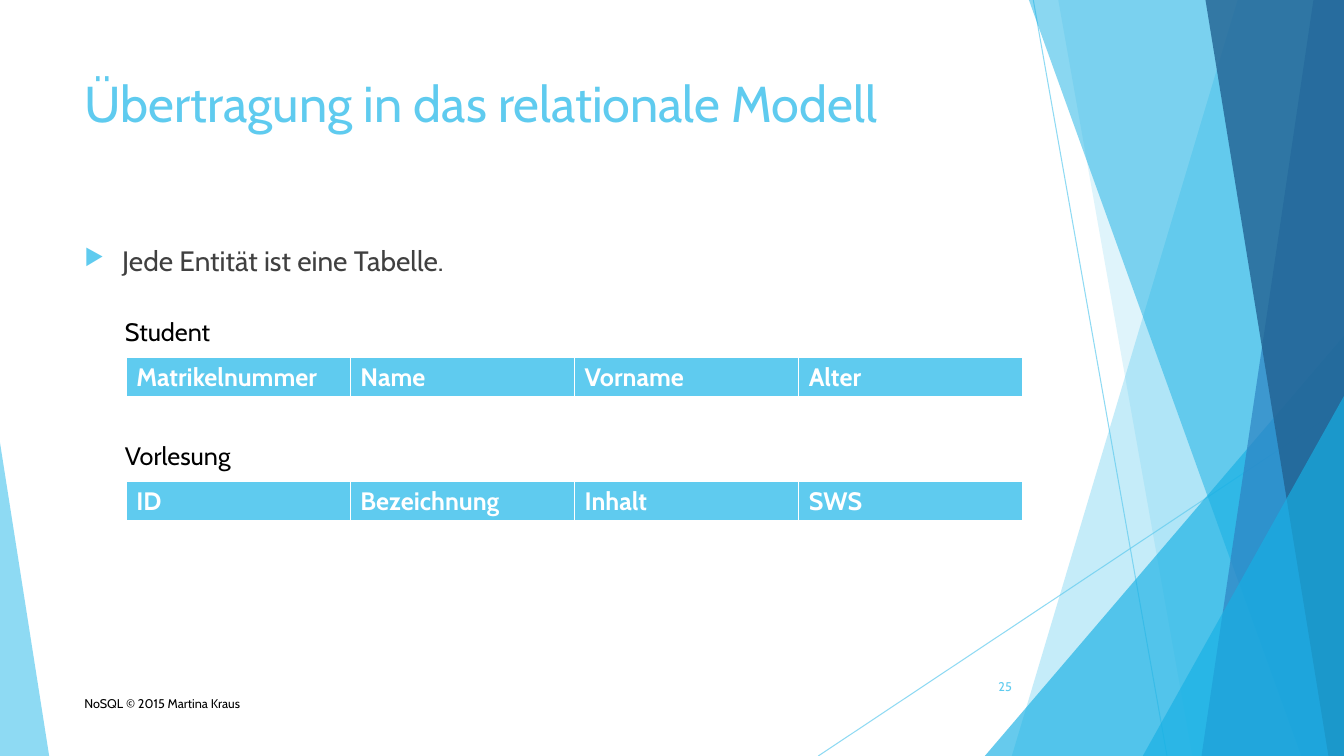
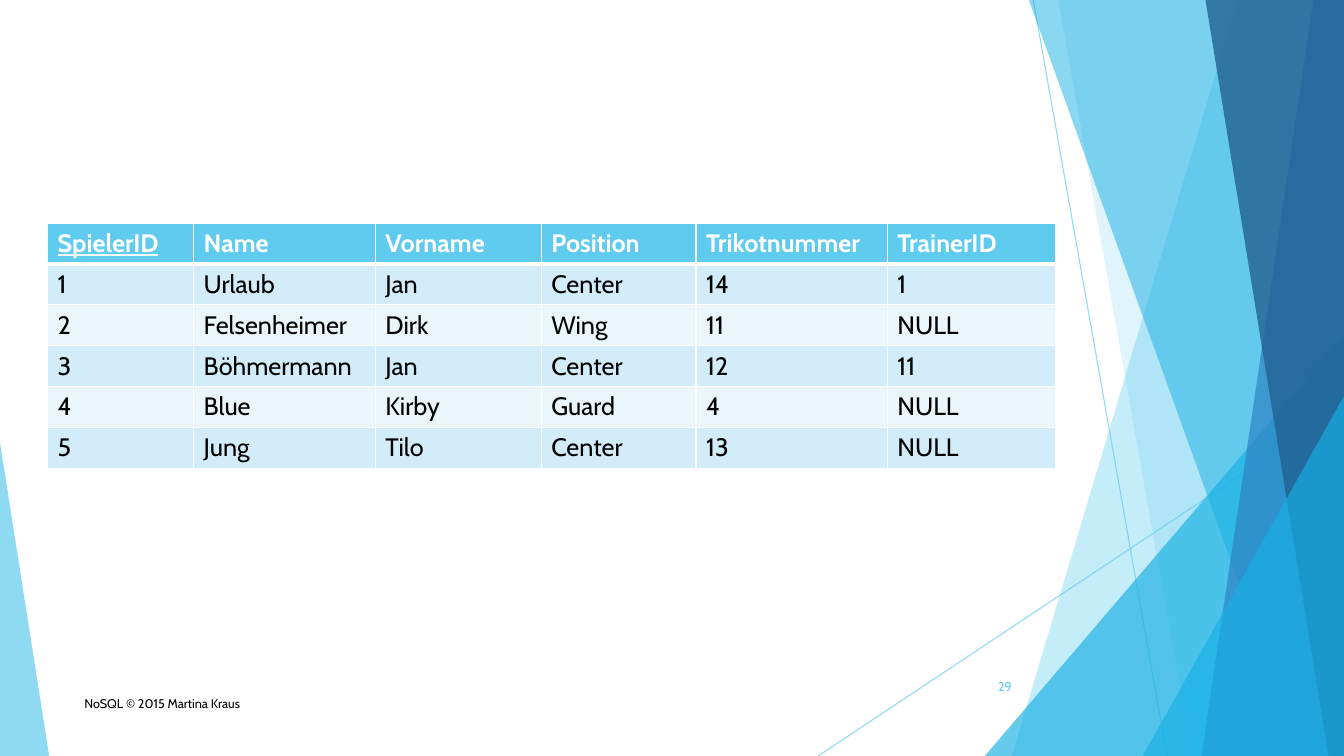
import dataclasses
import typing

import lxml.etree
import pptx
import pptx.dml.color
import pptx.enum.shapes
import pptx.enum.text
import pptx.oxml.ns
import pptx.util

Cm = pptx.util.Cm
Pt = pptx.util.Pt
qn = pptx.oxml.ns.qn
ALIGN = pptx.enum.text.PP_ALIGN
ANCHOR = pptx.enum.text.MSO_ANCHOR

WIDTH, HEIGHT = 33.87, 19.05
MARGIN = 1.88
CONTENT_WIDTH = 23.88
ROW_HEIGHT = 1.03
FONT = "Cabin"
SKY, CYAN, BLUE, NAVY = "5FCBEF", "17B0E4", "2E83C3", "226292"
WHITE, BLACK, GREY = "FFFFFF", "000000", "404040"
ROW_FILLS = ("EAF6FC", "D2ECF9")


@dataclasses.dataclass
class Ray:
    start: tuple[float, float]
    end: tuple[float, float]


@dataclasses.dataclass
class Band:
    """Area from a slanted left edge to the right side of the slide."""
    top_x: float
    bottom_x: float
    color: str
    opacity: int


@dataclasses.dataclass
class Corner:
    """Right triangle standing on the bottom edge; peak 0 is left, 1 is right."""
    left: float
    top: float
    width: float
    peak: float
    color: str
    opacity: int


@dataclasses.dataclass
class Label:
    text: str
    left: float
    top: float
    width: float
    height: float = 1.03
    size: int = 18
    color: str = BLACK
    align: typing.Any = ALIGN.LEFT
    anchor: typing.Any = ANCHOR.TOP


@dataclasses.dataclass
class Grid:
    left: float
    top: float
    widths: list[float]
    rows: list[list[str]]
    key: str = ""


RAYS = [Ray((26.04, 0), (29.41, HEIGHT)), Ray((WIDTH, 10.24), (20.62, HEIGHT))]
FACETS = [
    Band(31.19, 25.5, SKY, 36),
    Band(26.67, 30.05, SKY, 20),
    Corner(24.82, 8.46, 9.05, 1, CYAN, 66),
    Band(25.93, 32.79, CYAN, 50),
    Band(33.1, 30.28, BLUE, 70),
    Band(30.38, 33.48, NAVY, 80),
    Corner(28.8, 9.98, 5.07, 1, CYAN, 66),
    Corner(0, 11.15, 1.24, 0, SKY, 70),
]

ENTITIES = [
    ("Student", ["Matrikelnummer", "Name", "Vorname", "Alter"]),
    ("Vorlesung", ["ID", "Bezeichnung", "Inhalt", "SWS"]),
]
ENTITY_TOP, ENTITY_STEP = 7.85, 3.12

PLAYERS = Grid(1.2, 5.62, [3.68, 4.58, 4.18, 3.9, 4.82, 4.24], [
    ["SpielerID", "Name", "Vorname", "Position", "Trikotnummer", "TrainerID"],
    ["1", "Urlaub", "Jan", "Center", "14", "1"],
    ["2", "Felsenheimer", "Dirk", "Wing", "11", "NULL"],
    ["3", "Böhmermann", "Jan", "Center", "12", "11"],
    ["4", "Blue", "Kirby", "Guard", "4", "NULL"],
    ["5", "Jung", "Tilo", "Center", "13", "NULL"],
], key="SpielerID")


def rgb(color: str):
    return pptx.dml.color.RGBColor.from_string(color)


def add_xml(parent, tag: str, **attributes: str):
    return lxml.etree.SubElement(parent, qn(tag), attributes)


def set_opacity(sp, percent: int) -> None:
    for clr in sp.element.spPr.iter(qn("a:srgbClr")):
        add_xml(clr, "a:alpha", val=str(percent * 1000))


def write(tf, text: str, size: int, color: str, align=ALIGN.LEFT, **formats):
    """Put one formatted paragraph into the text frame and return it."""
    p = tf.paragraphs[0]
    p.alignment = align
    r = p.add_run()
    r.text = text
    for name, value in {"name": FONT, "size": Pt(size), **formats}.items():
        setattr(r.font, name, value)
    r.font.color.rgb = rgb(color)
    return p


def add_label(s, label: Label):
    sp = s.shapes.add_textbox(Cm(label.left), Cm(label.top), Cm(label.width), Cm(label.height))
    tf = sp.text_frame
    tf.word_wrap = True
    tf.vertical_anchor = label.anchor
    return write(tf, label.text, label.size, label.color, label.align)


def add_bullet(s, label: Label) -> None:
    p = add_label(s, label)
    p.space_before = Pt(10)
    pPr = p._p.get_or_add_pPr()
    pPr.set("marL", str(Cm(0.95)))
    pPr.set("indent", str(Cm(-0.95)))
    add_xml(add_xml(pPr, "a:buClr"), "a:srgbClr", val=SKY)
    add_xml(pPr, "a:buSzPct", val="80000")
    add_xml(pPr, "a:buChar", char="▶")


def add_ray(s, ray: Ray) -> None:
    sp = s.shapes.add_connector(pptx.enum.shapes.MSO_CONNECTOR.STRAIGHT,
                                *(Cm(v) for v in ray.start + ray.end))
    sp.line.color.rgb = rgb(SKY)
    sp.line.width = Pt(0.75)
    set_opacity(sp, 70)
    add_xml(sp.element.spPr, "a:effectLst")


def add_facet(s, facet: Band | Corner) -> None:
    if isinstance(facet, Band):
        builder = s.shapes.build_freeform(Cm(facet.top_x), 0)
        corners = [(WIDTH, 0), (WIDTH, HEIGHT), (facet.bottom_x, HEIGHT)]
        builder.add_line_segments([(Cm(x), Cm(y)) for x, y in corners])
        sp = builder.convert_to_shape()
    else:
        sp = s.shapes.add_shape(pptx.enum.shapes.MSO_SHAPE.ISOSCELES_TRIANGLE,
                                Cm(facet.left), Cm(facet.top),
                                Cm(facet.width), Cm(HEIGHT - facet.top))
        sp.adjustments[0] = facet.peak
    sp.shadow.inherit = False
    sp.fill.solid()
    sp.fill.fore_color.rgb = rgb(facet.color)
    sp.line.fill.background()
    set_opacity(sp, facet.opacity)


def set_borders(cell, row: int) -> None:
    """Draw white borders, thicker between the header and the body."""
    tcPr = cell._tc.get_or_add_tcPr()
    points = {"L": 1, "R": 1, "T": 3 if row == 1 else 1, "B": 3 if row == 0 else 1}
    for side, width in points.items():
        ln = add_xml(tcPr, f"a:ln{side}", w=str(Pt(width)))
        add_xml(add_xml(ln, "a:solidFill"), "a:srgbClr", val=WHITE)


def add_grid(s, grid: Grid) -> None:
    table = s.shapes.add_table(len(grid.rows), len(grid.widths), Cm(grid.left), Cm(grid.top),
                               Cm(sum(grid.widths)), Cm(ROW_HEIGHT * len(grid.rows))).table
    table.horz_banding = False
    for column, width in zip(table.columns, grid.widths):
        column.width = Cm(width)
    for i, texts in enumerate(grid.rows):
        header = i == 0
        table.rows[i].height = Cm(ROW_HEIGHT)
        for j, text in enumerate(texts):
            cell = table.cell(i, j)
            set_borders(cell, i)
            cell.fill.solid()
            cell.fill.fore_color.rgb = rgb(SKY if header else ROW_FILLS[i % 2])
            write(cell.text_frame, text, 18, WHITE if header else BLACK,
                  bold=header, underline=header and text == grid.key)


def set_title(s, text: str) -> None:
    sp = s.shapes.title
    box = {"left": MARGIN, "top": 1.7, "width": CONTENT_WIDTH, "height": 3.66}
    for name, value in box.items():
        setattr(sp, name, Cm(value))
    sp.text_frame.vertical_anchor = ANCHOR.TOP
    write(sp.text_frame, text, 36, SKY)


def add_slide(prs, number: int, title: str = ""):
    """Add a slide with the shared decoration, footer and page number."""
    s = prs.slides.add_slide(prs.slide_layouts.get_by_name("Title Only" if title else "Blank"))
    for ray in RAYS:
        add_ray(s, ray)
    for facet in FACETS:
        add_facet(s, facet)
    if title:
        set_title(s, title)
    add_label(s, Label(str(number), 23.85, 16.79, 1.9, size=9, color=SKY,
                       align=ALIGN.RIGHT, anchor=ANCHOR.MIDDLE))
    add_label(s, Label("NoSQL © 2015 Martina Kraus", MARGIN, 17.42, 17.5, size=9))
    return s


def add_entity_slide(prs) -> None:
    s = add_slide(prs, 25, "Übertragung in das relationale Modell")
    add_bullet(s, Label("Jede Entität ist eine Tabelle.", MARGIN, 6, CONTENT_WIDTH, 1.6,
                        size=20, color=GREY))
    for i, (name, fields) in enumerate(ENTITIES):
        top = ENTITY_TOP + i * ENTITY_STEP
        add_label(s, Label(name, 2.9, top, 3.5))
        add_grid(s, Grid(3.18, top + 1.15, [5.65] * len(fields), [fields]))


def add_player_slide(prs) -> None:
    add_grid(add_slide(prs, 29), PLAYERS)


def main() -> None:
    prs = pptx.Presentation()
    prs.slide_width, prs.slide_height = Cm(WIDTH), Cm(HEIGHT)
    add_entity_slide(prs)
    add_player_slide(prs)
    prs.save("out.pptx")


if __name__ == "__main__":
    main()
